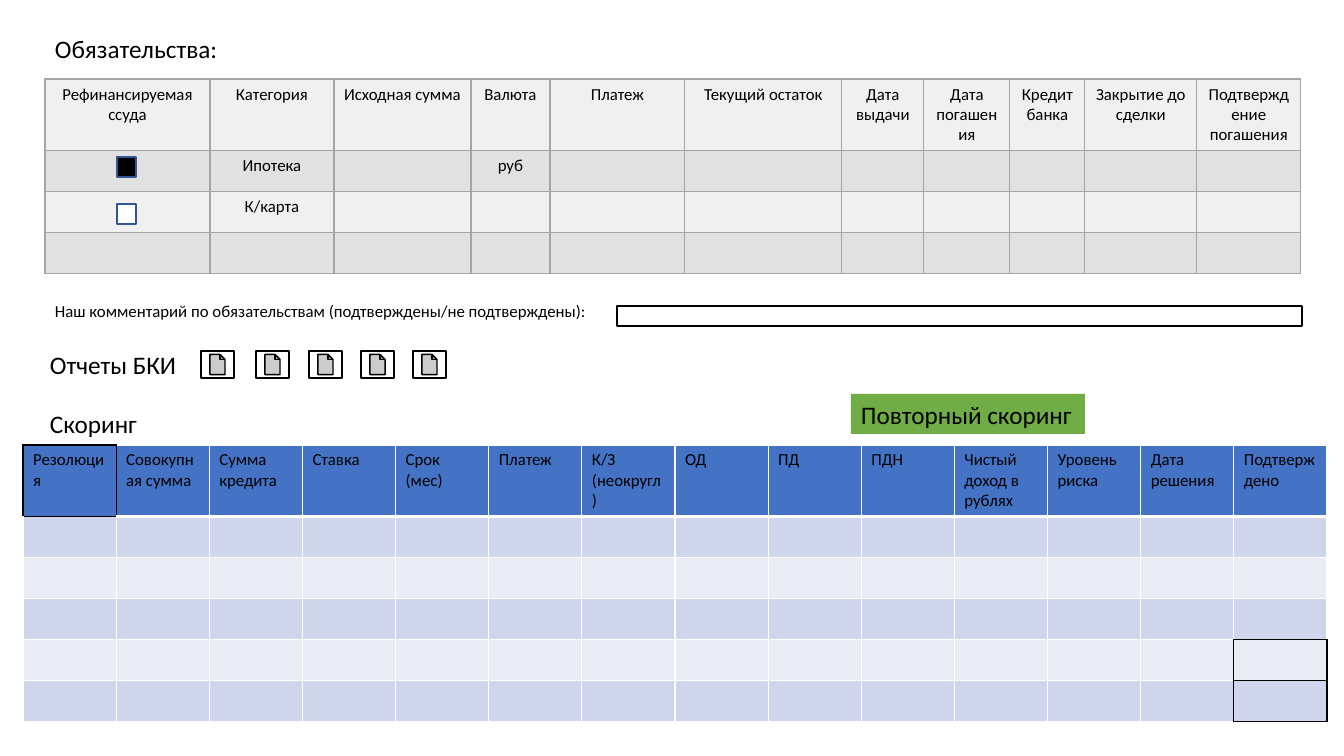
from pptx import Presentation
from pptx.dml.color import RGBColor
from pptx.enum.shapes import MSO_SHAPE as SHAPE
from pptx.enum.text import MSO_ANCHOR as ANCHOR, MSO_AUTO_SIZE as AUTO, PP_ALIGN as ALIGN
from pptx.util import Pt
from lxml.etree import SubElement
from pptx.oxml.ns import qn

BLACK = RGBColor(0, 0, 0)
WHITE = RGBColor(255, 255, 255)
GRAY = RGBColor(0xA5, 0xA5, 0xA5)
GRAY_ROWS = [RGBColor(0xF0, 0xF0, 0xF0), RGBColor(0xE1, 0xE1, 0xE1)]
BLUE = RGBColor(0x44, 0x72, 0xC4)
BLUE_ROWS = [RGBColor(0xE9, 0xEB, 0xF5), RGBColor(0xCF, 0xD5, 0xEA)]
BOX_BLUE = RGBColor(0x32, 0x54, 0x91)
GREEN = RGBColor(0x70, 0xAD, 0x47)

LABELS = [
    ("Обязательства:", 45, 28, 185, 40, 18),
    ("Отчеты БКИ", 40, 344, 148, 40, 18),
    ("Наш комментарий по обязательствам (подтверждены/не подтверждены):", 45, 296, 557, 30, 12),
    ("Скоринг", 40, 403, 109, 40, 18),
]
DEBTS = [
    ["Рефинансируемая ссуда", "Категория", "Исходная сумма", "Валюта", "Платеж",
     "Текущий остаток", "Дата выдачи", "Дата погашения", "Кредит банка",
     "Закрытие до сделки", "Подтверждение погашения"],
    ["", "Ипотека", "", "руб"],
    ["", "К/карта"],
    [],
]
DEBT_COLS = [165, 124, 137, 79, 135, 157, 82, 86, 75, 112, 104]
SCORING = [
    ["Резолюция", "Совокупная сумма", "Сумма кредита", "Ставка", "Срок (мес)", "Платеж",
     "К/З (неокругл)", "ОД", "ПД", "ПДН", "Чистый доход в рублях", "Уровень риска",
     "Дата решения", "Подтверждено"],
    [], [], [], [], [],
]
SCORING_WIDTH = 1304
OUTLINED = {(0, 0), (4, 13), (5, 13)}
HEADER_HEIGHT, ROW_HEIGHT = 70, 41
CHECKBOXES = [(157, BLACK), (204, WHITE)]
REPORT_LEFTS = [201, 256, 309, 361, 413]
SIDES = {"L": (0, -1), "R": (0, 1), "T": (-1, 0), "B": (1, 0)}


def px(n):
    return round(n * 914400 / 100.8)


def write(tf, text, size, align=ALIGN.LEFT):
    p = tf.paragraphs[0]
    p.alignment = align
    r = p.add_run()
    r.text = text
    for name, value in {"name": "Calibri", "size": Pt(size), "bold": False}.items():
        setattr(r.font, name, value)
    r.font.color.rgb = BLACK


def fit(tf):
    for name, value in {"word_wrap": False, "auto_size": AUTO.SHAPE_TO_FIT_TEXT,
                        "vertical_anchor": ANCHOR.TOP}.items():
        setattr(tf, name, value)


def add_box(kind, x, y, w, h, fill, line=None):
    s = slide.shapes.add_shape(kind, px(x), px(y), px(w), px(h))
    s.shadow.inherit = False
    s.fill.solid()
    s.fill.fore_color.rgb = fill
    if line is None:
        s.line.fill.background()
    else:
        s.line.color.rgb = line
        s.line.width = Pt(1)
    return s


def add_border(cell, side, color, width):
    ln = SubElement(cell._tc.get_or_add_tcPr(), qn("a:ln" + side), w=str(Pt(width)))
    SubElement(SubElement(ln, qn("a:solidFill")), qn("a:srgbClr"), val=str(color))


def add_grid(rows, x, y, widths, align, fill_of, border_of):
    height = px(HEADER_HEIGHT + ROW_HEIGHT * (len(rows) - 1))
    table = slide.shapes.add_table(len(rows), len(widths), px(x), px(y), sum(widths), height).table
    for column, width in zip(table.columns, widths):
        column.width = width
    for i, texts in enumerate(rows):
        table.rows[i].height = px(ROW_HEIGHT if i else HEADER_HEIGHT)
        for j in range(len(widths)):
            cell = table.cell(i, j)
            for side in SIDES:
                add_border(cell, side, *border_of(i, j, side))
            cell.fill.solid()
            cell.fill.fore_color.rgb = fill_of(i)
            if j < len(texts) and texts[j]:
                write(cell.text_frame, texts[j], 12, align)


def scoring_border(i, j, side):
    di, dj = SIDES[side]
    if OUTLINED & {(i, j), (i + di, j + dj)}:
        return BLACK, 1
    return WHITE, 3 if (i, side) in ((0, "B"), (1, "T")) else 1


prs = Presentation()
prs.slide_width, prs.slide_height = px(1344), px(756)
slide = prs.slides.add_slide(prs.slide_layouts[6])

add_grid(DEBTS, 45, 79, [px(w) for w in DEBT_COLS], ALIGN.CENTER,
         lambda i: GRAY_ROWS[i % 2], lambda i, j, side: (GRAY, 1))
add_grid(SCORING, 23, 445, [px(SCORING_WIDTH) // len(SCORING[0])] * len(SCORING[0]), ALIGN.LEFT,
         lambda i: BLUE_ROWS[i % 2] if i else BLUE, scoring_border)

for text, x, y, w, h, size in LABELS:
    tf = slide.shapes.add_textbox(px(x), px(y), px(w), px(h)).text_frame
    fit(tf)
    write(tf, text, size)

for y, fill in CHECKBOXES:
    add_box(SHAPE.RECTANGLE, 117, y, 19, 20, fill, BOX_BLUE)
for x in REPORT_LEFTS:
    add_box(SHAPE.ACTION_BUTTON_DOCUMENT, x, 351, 33, 27, WHITE, BLACK)
add_box(SHAPE.RECTANGLE, 617, 306, 685, 20, WHITE, BLACK)

button = add_box(SHAPE.RECTANGLE, 851, 394, 234, 40, GREEN)
fit(button.text_frame)
write(button.text_frame, "Повторный скоринг", 18)

prs.save("out.pptx")
